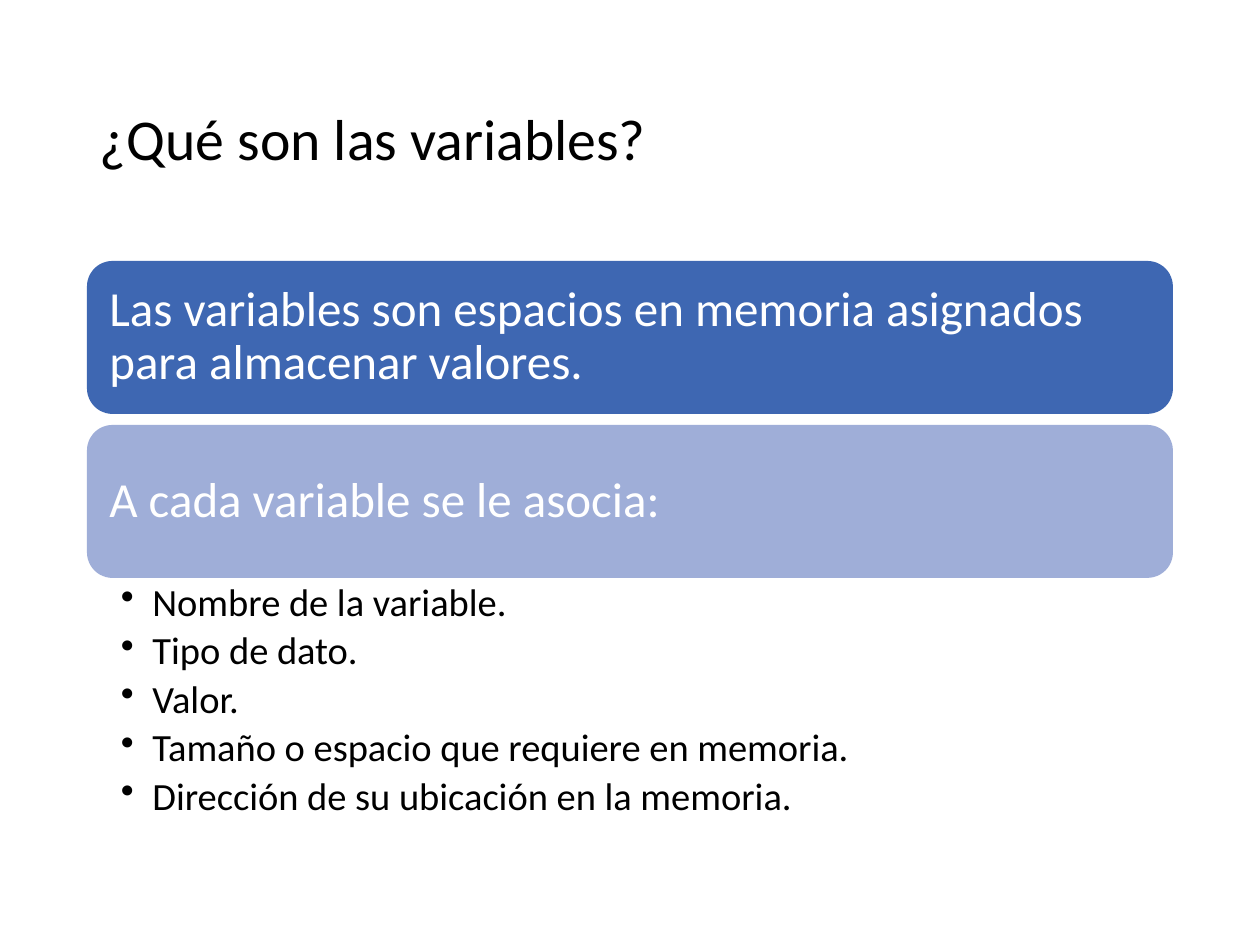
from pptx import Presentation
from pptx import util as u
from pptx.dml.color import RGBColor
from pptx.enum import shapes, text
from lxml import etree

PX = u.Inches(1) // 126
THEME = dict(font="Calibri", ink="000000", paper="FFFFFF",
             cards=("3E67B2", "9FAED8"), title=33, card=28, item=22)


def px(n):
    return n * PX


def write(shape, lines, size, color, pad, anchor=text.MSO_ANCHOR.MIDDLE,
          after=0, bullet=False):
    """Fill a shape with paragraphs; pad is left, top, right, bottom in px."""
    frame = shape.text_frame
    frame.word_wrap = True
    frame.auto_size = text.MSO_AUTO_SIZE.NONE
    frame.vertical_anchor = anchor
    (frame.margin_left, frame.margin_top,
     frame.margin_right, frame.margin_bottom) = map(px, pad)
    for i, line in enumerate(lines):
        par = frame.paragraphs[0] if i == 0 else frame.add_paragraph()
        par.alignment = text.PP_ALIGN.LEFT
        par.line_spacing = 0.9
        par.space_after = u.Pt(after)
        if bullet:
            par.level = 1
            props = par._p.get_or_add_pPr()
            props.set("marL", str(u.Inches(0.25)))
            props.set("indent", str(-u.Inches(0.25)))
            mark = etree.SubElement(
                props, "{http://schemas.openxmlformats.org/drawingml/2006/main}buChar")
            mark.set("char", "•")
        run = par.add_run()
        run.text = line
        run.font.name = THEME["font"]
        run.font.size = u.Pt(size)
        run.font.color.rgb = RGBColor.from_string(color)


deck = Presentation()
deck.slide_width, deck.slide_height = px(1260), px(945)
slide = deck.slides.add_slide(deck.slide_layouts[6])
slide.background.fill.solid()
slide.background.fill.fore_color.rgb = RGBColor.from_string(THEME["paper"])

LEFT, WIDE = 87, 1086
TOP, TALL, GAP = 261, 153, 11

title = slide.shapes.add_textbox(px(LEFT), px(50), px(WIDE), px(183))
write(title, ["¿Qué son las variables?"], THEME["title"], THEME["ink"], (13, 6, 13, 6))

cards = ["Las variables son espacios en memoria asignados para almacenar valores.",
         "A cada variable se le asocia:"]
for i, (words, fill) in enumerate(zip(cards, THEME["cards"])):
    card = slide.shapes.add_shape(
        shapes.MSO_SHAPE.ROUNDED_RECTANGLE,
        px(LEFT), px(TOP + i * (TALL + GAP)), px(WIDE), px(TALL))
    card.shadow.inherit = False
    card.fill.solid()
    card.fill.fore_color.rgb = RGBColor.from_string(fill)
    card.line.fill.background()
    write(card, [words], THEME["card"], THEME["paper"], (15, 15, 15, 15))

items = ["Nombre de la variable.", "Tipo de dato.", "Valor.",
         "Tamaño o espacio que requiere en memoria.",
         "Dirección de su ubicación en la memoria."]
notes = slide.shapes.add_textbox(
    px(LEFT), px(TOP + 2 * TALL + GAP), px(WIDE), px(263))
write(notes, items, THEME["item"], THEME["ink"], (34, 5, 28, 5),
      anchor=text.MSO_ANCHOR.TOP, after=4, bullet=True)

deck.save("out.pptx")
